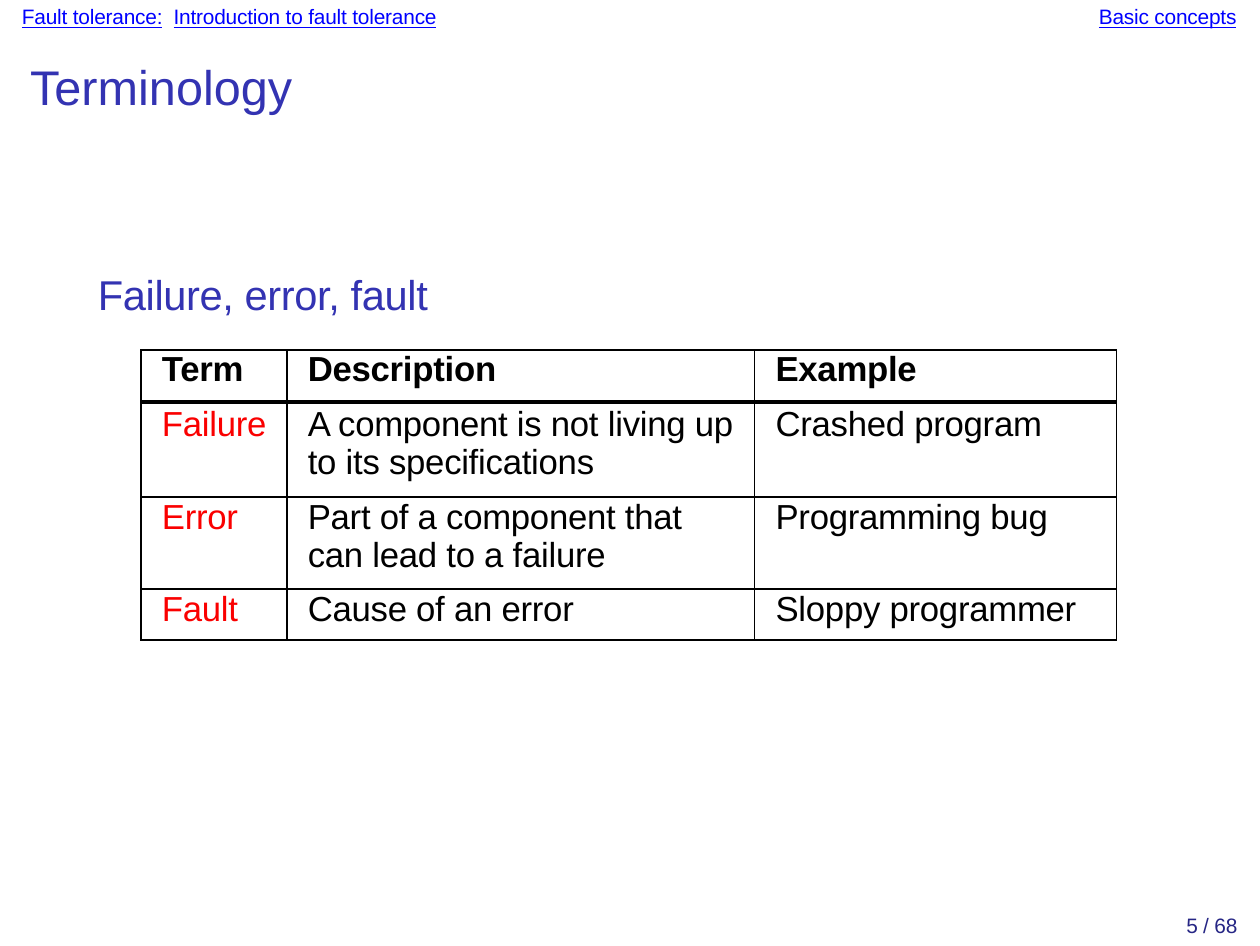
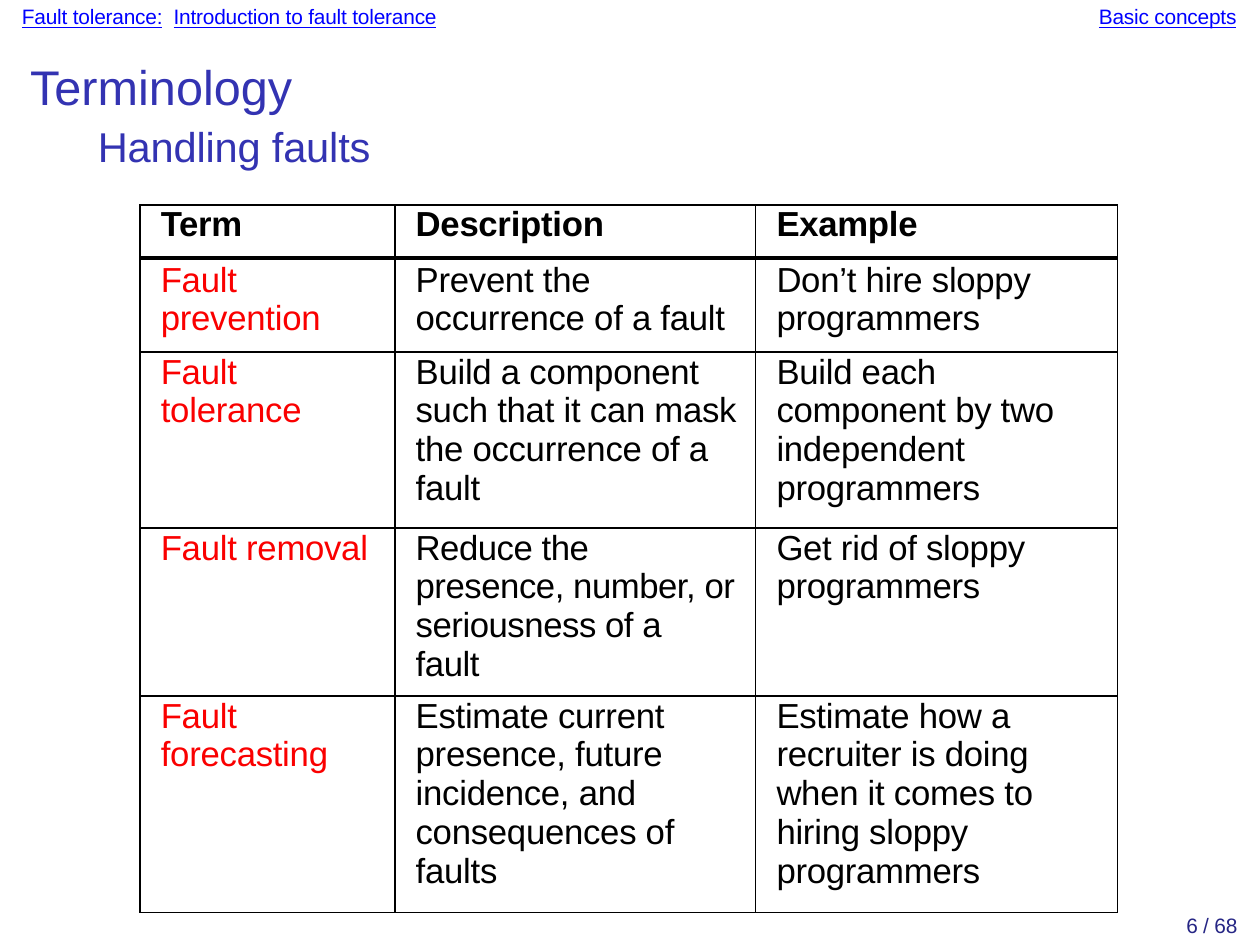
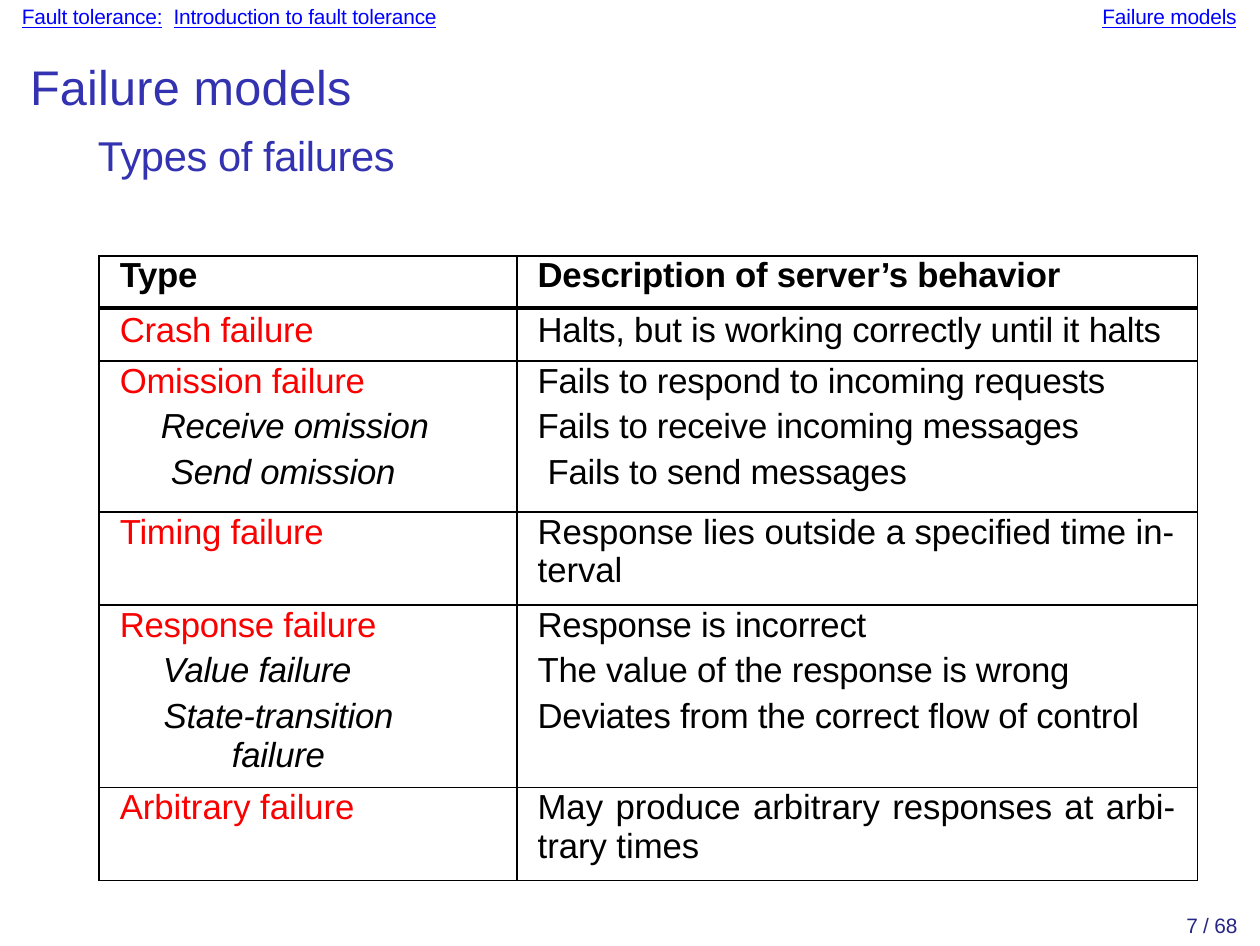
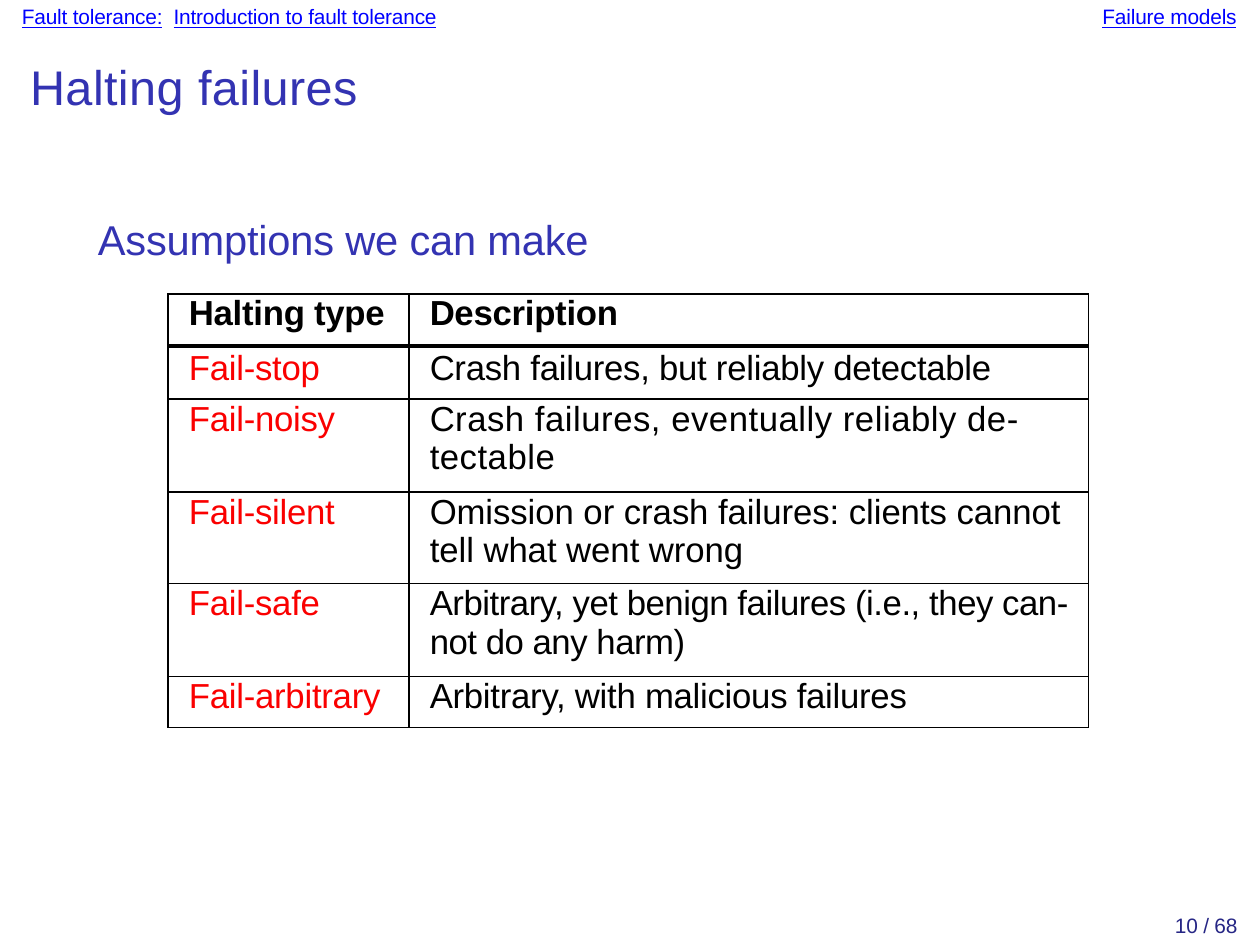
from dataclasses import dataclass

from lxml.etree import SubElement
from pptx import Presentation
from pptx.dml.color import RGBColor as RGB
from pptx.enum.text import MSO_ANCHOR as ANCHOR, MSO_AUTO_SIZE as FIT, PP_ALIGN as ALIGN
from pptx.oxml.ns import qn
from pptx.util import Emu, Pt

PX = 914400 / 250


def px(n):
    return Emu(round(n * PX))


@dataclass(frozen=True)
class Theme:
    font: str = "Arial"
    title: str = "3333B2"
    link: str = "0000FF"
    number: str = "262685"
    ink: str = "000000"
    term: str = "FA0000"
    small: int = 6
    body: int = 10
    sub: int = 12
    head: int = 14
    thin: float = 0.5
    thick: float = 1.5


class Deck:
    def __init__(self, theme, pages):
        self.t = theme
        self.pages = pages
        self.prs = Presentation()
        self.prs.slide_width, self.prs.slide_height = Pt(363), Pt(272.5)

    def run(self, p, text, size, color, track=-0.05, **fmt):
        r = p.add_run()
        r.text = text
        for name, value in {"name": self.t.font, "size": Pt(size), **fmt}.items():
            setattr(r.font, name, value)
        r.font.color.rgb = RGB.from_string(color)
        r._r.get_or_add_rPr().set("spc", str(round(track * 100)))

    def box(self, x, y, w, h, align=ALIGN.LEFT):
        tf = self.s.shapes.add_textbox(px(x), px(y), px(w), px(h)).text_frame
        margins = {f"margin_{side}": 0 for side in ("left", "top", "right", "bottom")}
        fmt = {"word_wrap": True, "auto_size": FIT.NONE, "vertical_anchor": ANCHOR.TOP}
        for name, value in {**margins, **fmt}.items():
            setattr(tf, name, value)
        p = tf.paragraphs[0]
        p.alignment = align
        return p

    def slide(self, page, section, title, track=0):
        t = self.t
        self.s = self.prs.slides.add_slide(self.prs.slide_layouts[6])
        self.run(self.box(1038, 913, 200, 32, ALIGN.RIGHT), f"{page} / {self.pages}",
                 t.small, t.number)
        p = self.box(22, 4, 423, 32)
        self.run(p, "Fault tolerance:", t.small, t.link, underline=True)
        self.run(p, " ", t.small, t.title, 1.5)
        self.run(p, "Introduction to fault tolerance", t.small, t.link, underline=True)
        self.run(self.box(1087, 4, 150, 32, ALIGN.RIGHT), section,
                 t.small, t.link, underline=True)
        self.run(self.box(30, 57, 570, 62), title, t.head, t.title, track)

    def subtitle(self, y, text, track=-0.05):
        self.run(self.box(98, y, 600, 50), text, self.t.sub, self.t.title, track)

    def borders(self, cell, top, bottom):
        tcPr = cell._tc.get_or_add_tcPr()
        widths = {"lnL": self.t.thin, "lnR": self.t.thin, "lnT": top, "lnB": bottom}
        for tag, width in widths.items():
            ln = SubElement(tcPr, qn(f"a:{tag}"), w=str(Pt(width)))
            fill = SubElement(ln, qn("a:solidFill"))
            SubElement(fill, qn("a:srgbClr"), val=self.t.ink)

    def paragraph(self, p, text, align=ALIGN.LEFT, left=0, right=0, **fmt):
        pPr = p._p.get_or_add_pPr()
        for name, value in {"marL": left, "marR": right}.items():
            pPr.set(name, str(px(value)))
        p.alignment = align
        for i, line in enumerate(text.split("\n")):
            if i:
                br = SubElement(p._p, qn("a:br"))
                SubElement(br, qn("a:rPr"), sz=str(self.t.body * 100))
            self.run(p, line, self.t.body, **fmt)

    def cell(self, cell, content, row, col):
        t = self.t
        self.borders(cell, t.thick if row == 1 else t.thin, t.thick if row == 0 else t.thin)
        cell.fill.background()
        margins = {"left": 21, "right": 17, "top": {0: 0, 1: 3}.get(row, 1), "bottom": 0}
        for side, value in margins.items():
            setattr(cell, f"margin_{side}", px(value))
        cell.vertical_anchor = ANCHOR.TOP
        base = {"color": t.term if row and not col else t.ink, "bold": row == 0}
        tf = cell.text_frame
        for i, item in enumerate(content if isinstance(content, list) else [content]):
            p = tf.add_paragraph() if i else tf.paragraphs[0]
            if i:
                p.space_before = Pt(2)
            item = item if isinstance(item, dict) else {"text": item}
            self.paragraph(p, **{**base, **item})

    def table(self, x, y, cols, rows):
        height = sum(h for h, *_ in rows)
        frame = self.s.shapes.add_table(len(rows), len(cols), px(x), px(y), px(sum(cols)), px(height))
        table = frame.table
        table.first_row = table.horz_banding = False
        for column, width in zip(table.columns, cols):
            column.width = px(width)
        for i, (h, *cells) in enumerate(rows):
            table.rows[i].height = px(h)
            for j, content in enumerate(cells):
                self.cell(table.cell(i, j), content, i, j)


def kind(text, **fmt):
    return {"text": text, "color": Theme.ink, "italic": True, "left": 41, **fmt}


def tracked(text, track):
    return {"text": text, "track": track}


def main():
    d = Deck(Theme(), 68)

    d.slide(5, "Basic concepts", "Terminology")
    d.subtitle(269, "Failure, error, fault", -0.1)
    d.table(141, 350, [146, 468, 362], [
        (52, "Term", "Description", "Example"),
        (95, "Failure", "A component is not living up to its specifications", "Crashed program"),
        (92, "Error", "Part of a component that can lead to a failure", "Programming bug"),
        (51, "Fault", "Cause of an error", "Sloppy programmer"),
    ])

    d.slide(6, "Basic concepts", "Terminology")
    d.subtitle(121, "Handling faults")
    d.table(140, 205, [255, 361, 362], [
        (53, "Term", "Description", "Example"),
        (94, "Fault prevention", "Prevent the occurrence of a fault", "Don’t hire sloppy programmers"),
        (176, "Fault tolerance", "Build a component such that it can mask the occurrence of a fault",
         "Build each component by two independent programmers"),
        (168, "Fault removal",
         tracked("Reduce the presence, number, or seriousness of a\nfault", -0.1),
         "Get rid of sloppy programmers"),
        (217, "Fault forecasting",
         "Estimate current presence, future incidence, and consequences of faults",
         "Estimate how a recruiter is doing when it comes to hiring sloppy programmers"),
    ])

    d.slide(7, "Failure models", "Failure models", 0.05)
    d.subtitle(130, "Types of failures", -0.1)
    d.table(99, 256, [418, 681], [
        (52, "Type", "Description of server’s behavior"),
        (53, "Crash failure", "Halts, but is working correctly until it halts"),
        (151, ["Omission failure", kind("Receive omission"), kind("Send omission", left=51)],
         ["Fails to respond to incoming requests", "Fails to receive incoming messages",
          {"text": "Fails to send messages", "left": 10}]),
        (93, "Timing failure", tracked("Response lies outside a specified time in- terval", 0)),
        (183, ["Response failure", kind("Value failure", left=43),
               kind("State-transition failure", align=ALIGN.CENTER, right=104)],
         ["Response is incorrect", "The value of the response is wrong",
          "Deviates from the correct flow of control"]),
        (93, tracked("Arbitrary failure", 0),
         {"text": "May produce arbitrary responses at arbi- trary times",
          "align": ALIGN.JUSTIFY, "track": 0, "right": 6}),
    ])

    d.slide(10, "Failure models", "Halting failures", 0.1)
    d.subtitle(214, "Assumptions we can make")
    d.table(168, 294, [241, 680], [
        (52, "Halting type", "Description"),
        (53, "Fail-stop", "Crash failures, but reliably detectable"),
        (93, "Fail-noisy", tracked("Crash failures, eventually reliably de- tectable", 0.18)),
        (92, "Fail-silent",
         tracked("Omission or crash failures: clients cannot tell what went wrong", 0)),
        (93, "Fail-safe",
         tracked("Arbitrary, yet benign failures (i.e., they can- not do any harm)", -0.12)),
        (51, "Fail-arbitrary", "Arbitrary, with malicious failures"),
    ])

    d.prs.save("out.pptx")


if __name__ == "__main__":
    main()
